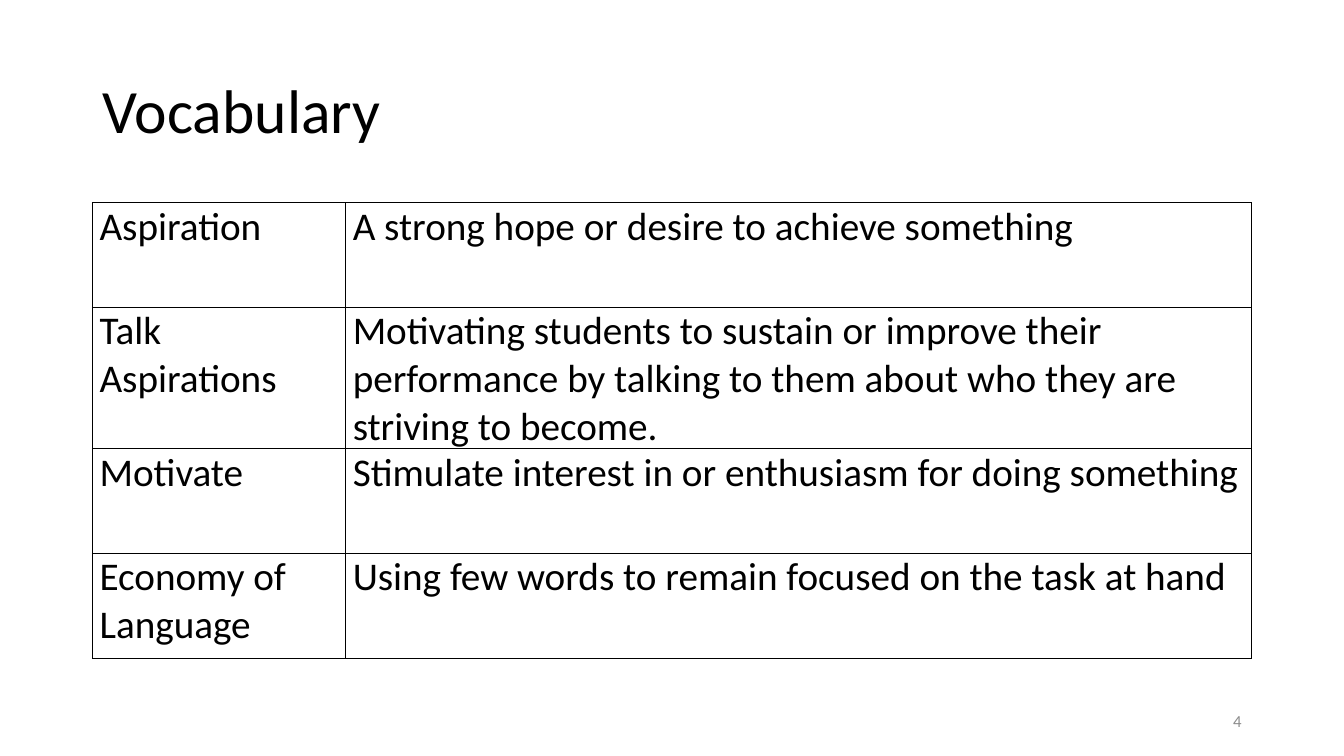
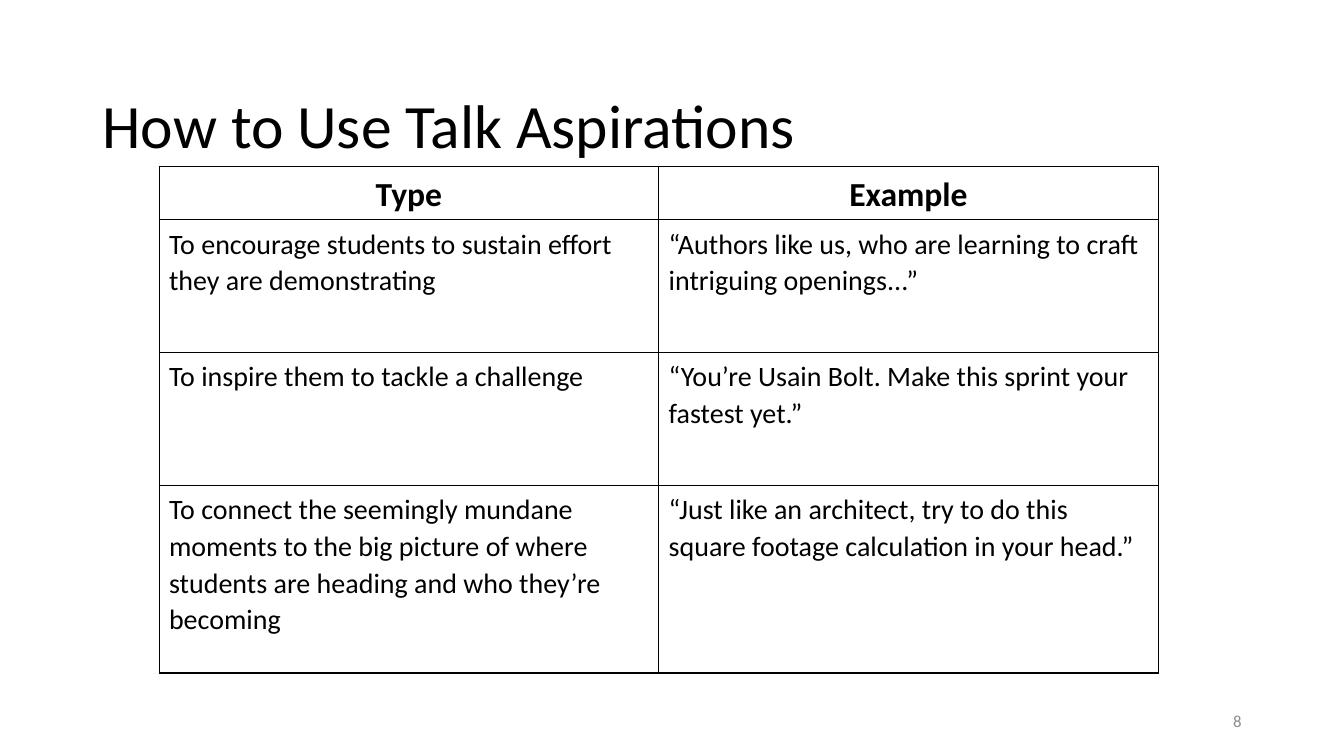
from lxml import etree
from pptx import Presentation
from pptx.dml.color import RGBColor
from pptx.enum.text import MSO_ANCHOR, MSO_AUTO_SIZE, PP_ALIGN
from pptx.oxml.ns import qn
from pptx.util import Cm, Pt

LEFT, MID, RIGHT = PP_ALIGN.LEFT, PP_ALIGN.CENTER, PP_ALIGN.RIGHT
CENTER = MSO_ANCHOR.MIDDLE
FIXED = MSO_AUTO_SIZE.NONE


def color(code):
    return RGBColor.from_string(code)


class Deck:
    font = "Calibri"
    ink = "000000"
    gray = "8C8C8C"
    edge = 2.33
    width = 29.21

    def __init__(self):
        self.file = Presentation()
        self.file.slide_width = Cm(33.87)
        self.file.slide_height = Cm(19.05)
        self.slide = None

    def label(self, frame, text, size, ink, align=LEFT, bold=False, space=1.0):
        frame.word_wrap = True
        line = frame.paragraphs[0]
        line.alignment = align
        line.line_spacing = space
        run = line.add_run()
        run.text = text
        run.font.name = self.font
        run.font.size = Pt(size)
        run.font.bold = bold
        run.font.color.rgb = color(ink)

    def start(self, title, top, number):
        self.slide = self.file.slides.add_slide(self.file.slide_layouts[5])
        box = self.slide.shapes.title
        box.left, box.top = Cm(self.edge), Cm(top)
        box.width, box.height = Cm(self.width), Cm(3.68)
        frame = box.text_frame
        frame.auto_size = FIXED
        frame.vertical_anchor = CENTER
        self.label(frame, title, 44, self.ink, space=0.9)
        self.number(number)

    def number(self, text):
        box = self.slide.shapes.add_textbox(Cm(23.92), Cm(17.65), Cm(7.62), Cm(1.01))
        box.text_frame.vertical_anchor = CENTER
        self.label(box.text_frame, text, 12, self.gray, RIGHT)

    def border(self, cell):
        props = cell._tc.get_or_add_tcPr()
        for spot, side in enumerate(("lnL", "lnR", "lnT", "lnB")):
            line = etree.Element(qn(f"a:{side}"), w=str(Pt(1)))
            fill = etree.SubElement(line, qn("a:solidFill"))
            etree.SubElement(fill, qn("a:srgbClr"), val=self.ink)
            props.insert(spot, line)

    def table(self, left, top, cols, rows, cells, size, head=None, space=1.0, pad=(0.25, 0.13)):
        shape = self.slide.shapes.add_table(
            len(rows), len(cols), Cm(left), Cm(top), Cm(sum(cols)), Cm(sum(rows)))
        grid = shape.table
        grid.first_row = head is not None
        grid.horz_banding = False
        for col, width in zip(grid.columns, cols):
            col.width = Cm(width)
        for row, height, texts in zip(grid.rows, rows, cells):
            row.height = Cm(height)
            top_row = head is not None and texts is cells[0]
            for cell, text in zip(row.cells, texts):
                cell.margin_left = cell.margin_right = Cm(pad[0])
                cell.margin_top = cell.margin_bottom = Cm(pad[1])
                cell.fill.background()
                self.border(cell)
                self.label(cell.text_frame, text, head if top_row else size, self.ink,
                           MID if top_row else LEFT, top_row, space)


TERMS = [
    ("Aspiration", "A strong hope or desire to achieve something"),
    ("Talk Aspirations", "Motivating students to sustain or improve their performance "
     "by talking to them about who they are striving to become."),
    ("Motivate", "Stimulate interest in or enthusiasm for doing something"),
    ("Economy of Language", "Using few words to remain focused on the task at hand"),
]
USES = [
    ("Type", "Example"),
    ("To encourage students to sustain effort they are demonstrating",
     "“Authors like us, who are learning to craft intriguing openings...”"),
    ("To inspire them to tackle a challenge",
     "“You’re Usain Bolt. Make this sprint your fastest yet.”"),
    ("To connect the seemingly mundane moments to the big picture of where students "
     "are heading and who they’re becoming",
     "“Just like an architect, try to do this square footage calculation in your head.”"),
]


def main():
    deck = Deck()
    deck.start("Vocabulary", 1.02, "4")
    deck.table(deck.edge, 5.11, [6.38, 22.83], [2.64] * 4, TERMS, 28, pad=(0.18, 0))
    deck.start("How to Use Talk Aspirations", 1.4, "8")
    deck.table(4.01, 4.19, [12.59] * 2, [1.17, 3.35, 3.35, 4.72], USES, 20, head=24, space=1.07)
    deck.file.save("out.pptx")


if __name__ == "__main__":
    main()
